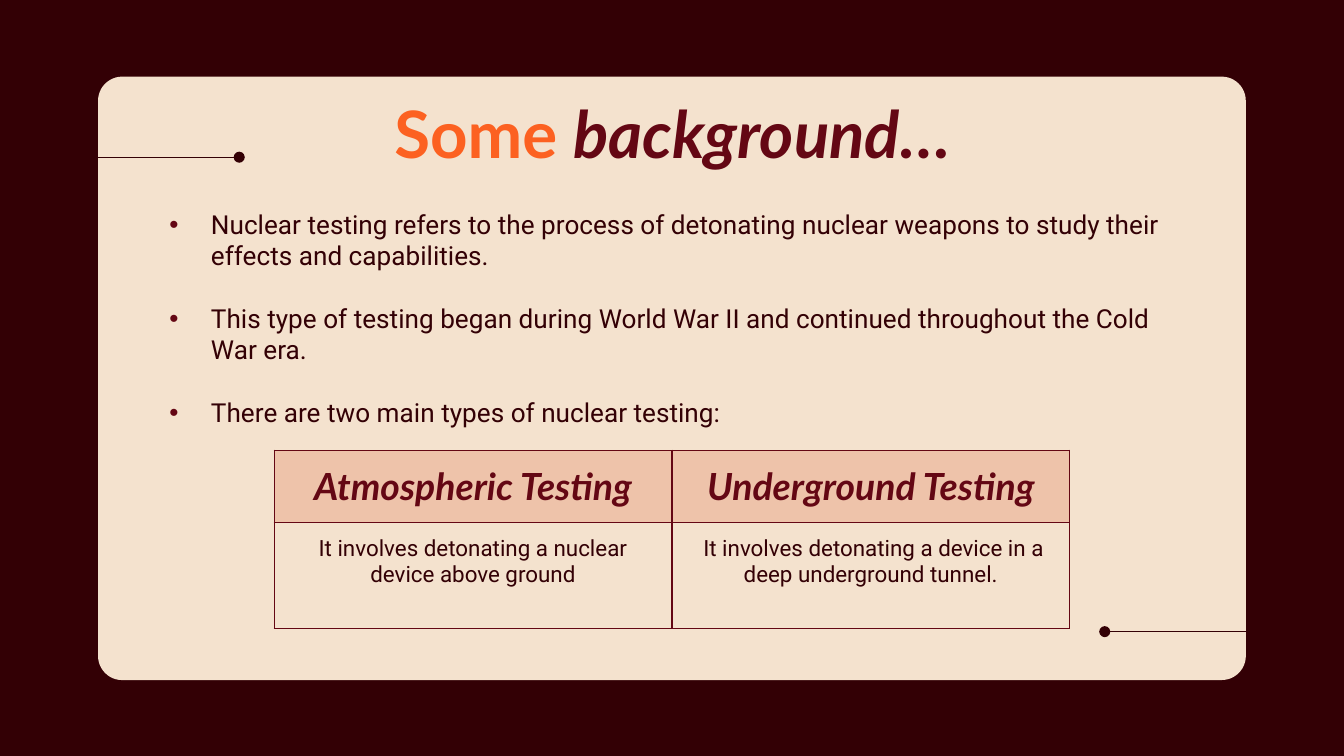
from lxml import etree
from pptx import Presentation
from pptx.dml.color import RGBColor
from pptx.enum.shapes import MSO_CONNECTOR, MSO_SHAPE
from pptx.enum.text import MSO_ANCHOR, MSO_AUTO_SIZE, PP_ALIGN
from pptx.oxml.ns import qn
from pptx.util import Inches, Pt

CENTER, LEFT = PP_ALIGN.CENTER, PP_ALIGN.LEFT
TOP, NO_AUTOFIT = MSO_ANCHOR.TOP, MSO_AUTO_SIZE.NONE
STRAIGHT, ROUNDED = MSO_CONNECTOR.STRAIGHT, MSO_SHAPE.ROUNDED_RECTANGLE

DARK = RGBColor(0x33, 0x00, 0x05)
WINE = RGBColor(0x64, 0x07, 0x14)
ORANGE = RGBColor(0xFC, 0x61, 0x21)
RUST = RGBColor(0xD8, 0x37, 0x0B)
CREAM = RGBColor(0xF4, 0xE2, 0xCE)

TITLE = [("Some ", ORANGE, False), ("background…", WINE, True)]
POINTS = [
    "Nuclear testing refers to the process of detonating nuclear weapons "
    "to study their effects and capabilities.",
    "This type of testing began during World War II and continued "
    "throughout the Cold War era.",
    "There are two main types of nuclear testing:",
]
TESTING_TYPES = [
    ("Atmospheric Testing", "It involves detonating a nuclear device above ground"),
    ("Underground Testing",
     " It involves detonating a device in a deep underground tunnel."),
]
HEADING = {"name": "Lato", "size": Pt(20), "bold": True, "italic": True}
DETAIL = {"name": "Roboto", "size": Pt(12), "bold": False, "italic": False}
ACCENT_LINES = [(0.18, 1.17), (8.22, 4.7)]
ACCENT_LENGTH = 1.6
ROW_HEIGHTS = [0.53, 0.79]
COLUMN_WIDTH = 2.96
MARGINS = ("margin_left", "margin_top", "margin_right", "margin_bottom")


def add_xml(parent, tag, **attributes):
    return etree.SubElement(parent, qn(tag), attributes)


def style_font(font, color, formats):
    for attribute, value in formats.items():
        setattr(font, attribute, value)
    font.color.rgb = color


def set_margins(holder):
    for margin in MARGINS:
        setattr(holder, margin, Inches(0.1))


def prepare_placeholder(placeholder, left, top, width, height):
    placeholder.left, placeholder.top = Inches(left), Inches(top)
    placeholder.width, placeholder.height = Inches(width), Inches(height)
    frame = placeholder.text_frame
    frame.word_wrap = True
    frame.auto_size = NO_AUTOFIT
    frame.vertical_anchor = TOP
    set_margins(frame)
    return frame


def add_bullet(paragraph):
    properties = paragraph._p.get_or_add_pPr()
    properties.set("marL", str(Inches(0.31)))
    properties.set("indent", str(-Inches(0.31)))
    add_xml(add_xml(properties, "a:buClr"), "a:srgbClr", val=str(WINE))
    add_xml(properties, "a:buFont", typeface="Arial")
    add_xml(properties, "a:buChar", char="•")


def add_borders(cell):
    properties = cell._tc.get_or_add_tcPr()
    for side in ("a:lnL", "a:lnR", "a:lnT", "a:lnB"):
        border = add_xml(properties, side, w=str(Pt(0.75)))
        add_xml(add_xml(border, "a:solidFill"), "a:srgbClr", val=str(WINE))


def fill_cell(cell, text, color, formats):
    set_margins(cell)
    paragraph = cell.text_frame.paragraphs[0]
    paragraph.alignment = CENTER
    run = paragraph.add_run()
    run.text = text
    style_font(run.font, color, formats)
    add_borders(cell)


presentation = Presentation()
presentation.slide_width = Inches(10)
presentation.slide_height = Inches(10) * 9 // 16
slide = presentation.slides.add_slide(presentation.slide_layouts[1])
slide.background.fill.solid()
slide.background.fill.fore_color.rgb = DARK

card = slide.shapes.add_shape(
    ROUNDED, Inches(0.73), Inches(0.57), Inches(8.54), Inches(4.49))
card.adjustments[0] = 0.04
card.shadow.inherit = False
card.fill.solid()
card.fill.fore_color.rgb = CREAM
card.line.fill.background()
slide.shapes._spTree.insert(2, card._element)  # behind the placeholders

heading = prepare_placeholder(slide.shapes.title, 0.79, 0.59, 8.43, 0.63).paragraphs[0]
heading.alignment = CENTER
for text, color, italic in TITLE:
    run = heading.add_run()
    run.text = text
    style_font(run.font, color,
               {"name": "Lato", "size": Pt(35), "bold": True, "italic": italic})

body = prepare_placeholder(slide.placeholders[1], 1.16, 1.45, 7.68, 1.85)
for index, point in enumerate(POINTS):
    paragraph = body.paragraphs[0] if index == 0 else body.add_paragraph()
    paragraph.alignment = LEFT
    paragraph.space_before = Pt(16.8 if index else 0)
    add_bullet(paragraph)
    run = paragraph.add_run()
    run.text = point
    style_font(run.font, DARK, {"name": "Roboto", "size": Pt(14)})

for left, y in ACCENT_LINES:
    accent = slide.shapes.add_connector(
        STRAIGHT, Inches(left), Inches(y), Inches(left + ACCENT_LENGTH), Inches(y))
    accent.line.color.rgb = DARK
    accent.line.width = Pt(0.75)
    outline = accent.line._get_or_add_ln()
    for end in ("a:headEnd", "a:tailEnd"):
        add_xml(outline, end, type="oval")
    add_xml(accent._element.spPr, "a:effectLst")

table = slide.shapes.add_table(
    len(ROW_HEIGHTS), len(TESTING_TYPES), Inches(2.04), Inches(3.35),
    Inches(COLUMN_WIDTH * len(TESTING_TYPES)), Inches(sum(ROW_HEIGHTS))).table
table.first_row = table.horz_banding = False
for row, height in zip(table.rows, ROW_HEIGHTS):
    row.height = Inches(height)
for column, (name, detail) in enumerate(TESTING_TYPES):
    table.columns[column].width = Inches(COLUMN_WIDTH)
    name_cell, detail_cell = table.cell(0, column), table.cell(1, column)
    fill_cell(name_cell, name, WINE, HEADING)
    name_cell.fill.solid()
    name_cell.fill.fore_color.rgb = RUST
    tint = name_cell._tc.tcPr.find(qn("a:solidFill")).find(qn("a:srgbClr"))
    add_xml(tint, "a:alpha", val="18000")
    fill_cell(detail_cell, detail, DARK, DETAIL)
    detail_cell.fill.background()

presentation.save("out.pptx")
